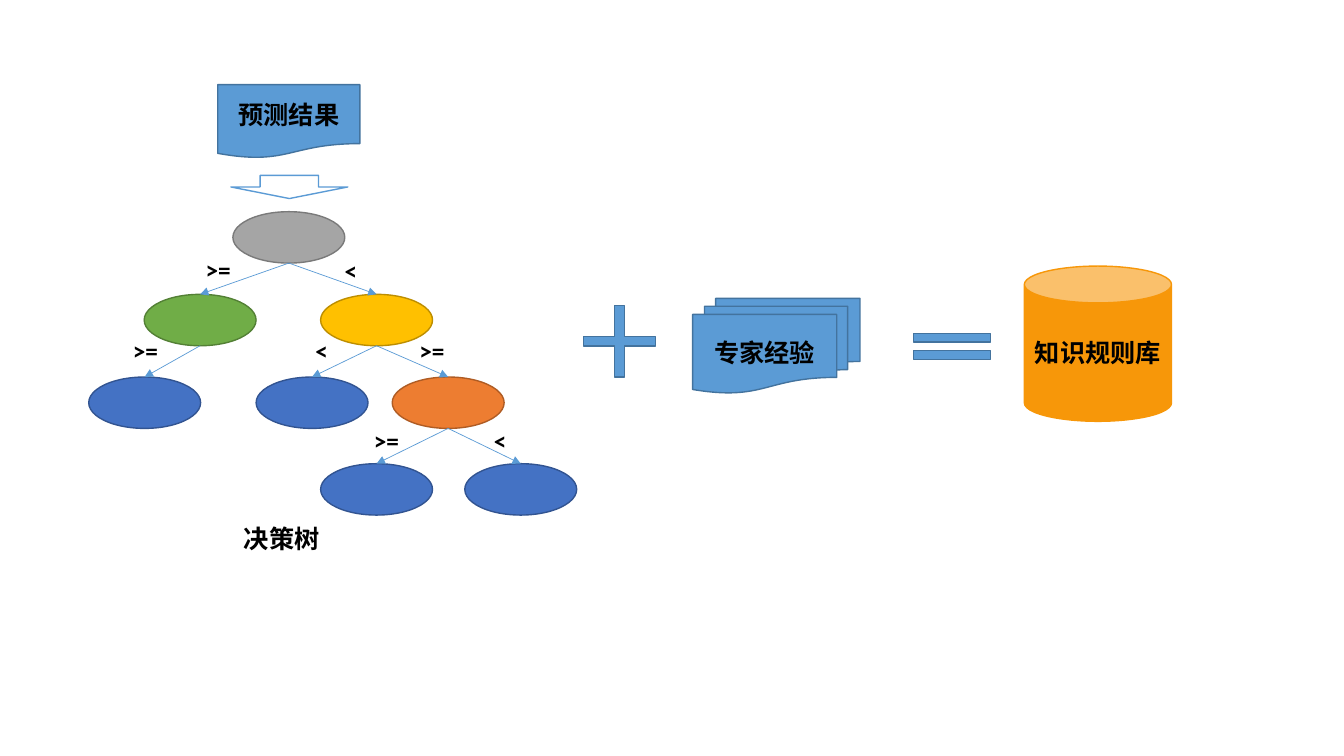
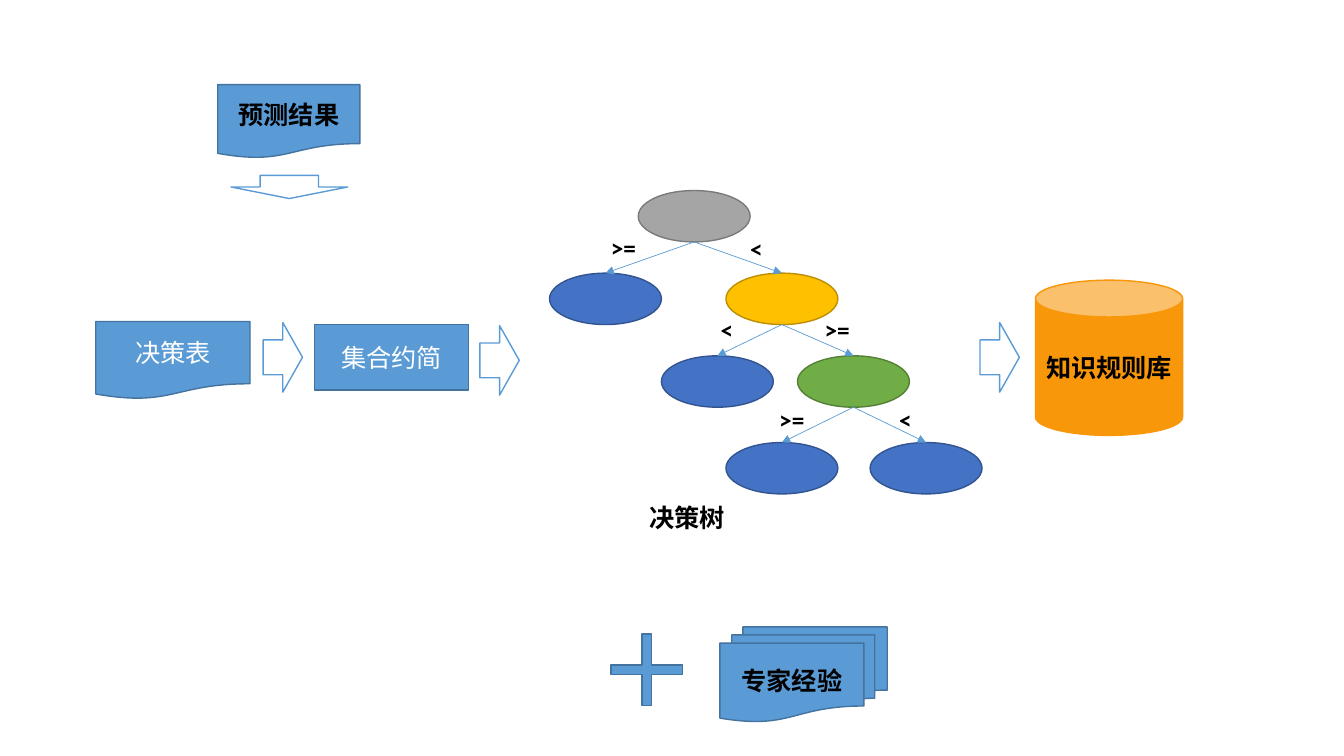
from dataclasses import dataclass
from typing import NamedTuple

from lxml.etree import SubElement
from pptx import Presentation
from pptx.dml.color import RGBColor
from pptx.enum.lang import MSO_LANGUAGE_ID
from pptx.enum.shapes import MSO_CONNECTOR, MSO_SHAPE
from pptx.enum.text import MSO_ANCHOR, PP_ALIGN
from pptx.oxml.ns import qn
from pptx.shapes.autoshape import Shape
from pptx.shapes.base import BaseShape
from pptx.slide import Slide
from pptx.util import Inches, Pt

COLOURS = {
    "black": "000000", "white": "FFFFFF",
    "blue": "5B9BD5", "blue_edge": "43739E",
    "grey": "A5A5A5", "grey_edge": "7A7A7A",
    "green": "70AD47", "green_edge": "538035",
    "yellow": "FFC000", "yellow_edge": "BD8E00",
    "orange": "ED7D31", "orange_edge": "AF5C24",
    "navy": "4472C4", "navy_edge": "325491",
    "amber": "F79709",
}
FONT = {"name": "Calibri", "size": Pt(18), "language_id": MSO_LANGUAGE_ID.SIMPLIFIED_CHINESE}
NODE_WIDTH, NODE_HEIGHT = 1.11, 0.51


class Box(NamedTuple):
    left: float
    top: float
    width: float
    height: float


@dataclass(frozen=True)
class Block:
    preset: MSO_SHAPE
    box: Box
    text: str = ""
    fill: str = "blue"
    edge: str = "blue_edge"
    text_colour: str = "black"
    bold: bool = True
    adjustments: tuple[float, ...] = ()


@dataclass(frozen=True)
class Branch:
    """A child node and its condition, both placed relative to the root node."""
    child: str
    parent: str
    dx: float
    dy: float
    condition: str
    condition_dx: float
    condition_dy: float


BRANCHES = [
    Branch("low", "root", -0.88, 0.82, ">=", -0.37, 0.37),
    Branch("high", "root", 0.87, 0.82, "<", 1.01, 0.38),
    Branch("low_leaf", "low", -1.43, 1.64, ">=", -1.09, 1.18),
    Branch("high_leaf", "high", 0.23, 1.64, "<", 0.72, 1.18),
    Branch("high_split", "high", 1.58, 1.64, ">=", 1.75, 1.18),
    Branch("split_left", "high_split", 0.87, 2.5, ">=", 1.3, 2.07),
    Branch("split_right", "high_split", 2.3, 2.5, "<", 2.49, 2.07),
]


def rgb(colour: str) -> RGBColor:
    return RGBColor.from_string(COLOURS[colour])


def write(shape: Shape, text: str, colour: str = "black", bold: bool = True) -> None:
    run = shape.text_frame.paragraphs[0].add_run()
    run.text = text
    for attribute, value in {**FONT, "bold": bold}.items():
        setattr(run.font, attribute, value)
    run.font.color.rgb = rgb(colour)


def add_block(slide: Slide, block: Block) -> Shape:
    shape = slide.shapes.add_shape(block.preset, *map(Inches, block.box))
    shape.shadow.inherit = False
    shape.fill.solid()
    shape.fill.fore_color.rgb = rgb(block.fill)
    shape.line.color.rgb = rgb(block.edge)
    shape.line.width = Pt(1)
    for index, value in enumerate(block.adjustments):
        shape.adjustments[index] = value
    if block.text:
        shape.text_frame.vertical_anchor = MSO_ANCHOR.MIDDLE
        shape.text_frame.paragraphs[0].alignment = PP_ALIGN.CENTER
        write(shape, block.text, block.text_colour, block.bold)
    return shape


def add_label(slide: Slide, text: str, left: float, top: float, width: float) -> None:
    label = slide.shapes.add_textbox(*map(Inches, (left, top, width, 0.4)))
    label.text_frame.word_wrap = True
    write(label, text)


def add_node(slide: Slide, left: float, top: float, colour: str) -> Shape:
    return add_block(slide, Block(MSO_SHAPE.OVAL, Box(left, top, NODE_WIDTH, NODE_HEIGHT),
                                  fill=colour, edge=f"{colour}_edge"))


def add_branch_arrow(slide: Slide, parent: BaseShape, child: BaseShape) -> None:
    """Join the bottom of the parent ellipse to the top of the child ellipse."""
    arrow = slide.shapes.add_connector(
        MSO_CONNECTOR.STRAIGHT,
        parent.left + parent.width // 2, parent.top + parent.height,
        child.left + child.width // 2, child.top)
    # An ellipse has eight connection sites; its bottom is number 4.
    joints = arrow._element.find(f".//{qn('p:cNvCxnSpPr')}")
    SubElement(joints, qn("a:stCxn"), id=str(parent.shape_id), idx="4")
    arrow.end_connect(child, 0)
    arrow.line.color.rgb = rgb("blue")
    arrow.line.width = Pt(0.5)
    SubElement(arrow.line._get_or_add_ln(), qn("a:tailEnd"), type="triangle")
    SubElement(arrow._element.spPr, qn("a:effectLst"))


def add_tree(slide: Slide, left: float, top: float, node_colours: dict[str, str]) -> None:
    """Draw the root and those branches whose child has a colour."""
    nodes = {"root": add_node(slide, left, top, node_colours["root"])}
    for branch in BRANCHES:
        if branch.child not in node_colours:
            continue
        nodes[branch.child] = add_node(slide, left + branch.dx, top + branch.dy,
                                       node_colours[branch.child])
        add_branch_arrow(slide, nodes[branch.parent], nodes[branch.child])
        add_label(slide, branch.condition, left + branch.condition_dx,
                  top + branch.condition_dy, 0.51)
    add_label(slide, "决策树", left + 0.01, top + 3.04, 1.09)


def hollow_arrow(preset: MSO_SHAPE, box: Box) -> Block:
    return Block(preset, box, fill="white", edge="blue")


def add_prediction(slide: Slide) -> None:
    add_block(slide, Block(MSO_SHAPE.FLOWCHART_DOCUMENT, Box(2.16, 0.84, 1.41, 0.73), "预测结果"))
    add_block(slide, hollow_arrow(MSO_SHAPE.DOWN_ARROW, Box(2.29, 1.74, 1.16, 0.23)))


def add_expertise(slide: Slide, left: float, top: float) -> None:
    """Draw the plus sign and the stack of expert documents beside it."""
    add_block(slide, Block(MSO_SHAPE.CROSS, Box(left, top, 0.71, 0.71), adjustments=(0.432,)))
    add_block(slide, Block(MSO_SHAPE.FLOWCHART_MULTIDOCUMENT,
                           Box(left + 1.08, top - 0.07, 1.66, 0.94), "专家经验"))


def add_rule_base(slide: Slide, left: float, top: float) -> None:
    add_block(slide, Block(MSO_SHAPE.CAN, Box(left, top, 1.46, 1.54), "知识规则库",
                           fill="amber", edge="amber"))


def build_sum_slide(slide: Slide) -> None:
    add_prediction(slide)
    add_tree(slide, 2.31, 2.1, {
        "root": "grey", "low": "green", "high": "yellow", "low_leaf": "navy",
        "high_leaf": "navy", "high_split": "orange",
        "split_left": "navy", "split_right": "navy"})
    add_expertise(slide, 5.79, 3.03)
    add_block(slide, Block(MSO_SHAPE.MATH_EQUAL, Box(8.92, 3.08, 1.04, 0.71),
                           adjustments=(0.123, 0.118)))
    add_rule_base(slide, 10.16, 2.64)


def build_flow_slide(slide: Slide) -> None:
    add_prediction(slide)
    add_tree(slide, 6.33, 1.89, {
        "root": "grey", "low": "navy", "high": "yellow", "high_leaf": "navy",
        "high_split": "green", "split_left": "navy", "split_right": "navy"})
    add_expertise(slide, 6.06, 6.29)
    add_rule_base(slide, 10.27, 2.78)
    for preset, box, step in (
        (MSO_SHAPE.FLOWCHART_DOCUMENT, Box(0.95, 3.19, 1.53, 0.77), "决策表"),
        (MSO_SHAPE.RECTANGLE, Box(3.12, 3.22, 1.53, 0.65), "集合约简"),
    ):
        add_block(slide, Block(preset, box, step, text_colour="white", bold=False))
    for left, top in ((2.61, 3.2), (4.76, 3.23), (9.72, 3.2)):
        add_block(slide, hollow_arrow(MSO_SHAPE.RIGHT_ARROW, Box(left, top, 0.39, 0.69)))


def main() -> None:
    presentation = Presentation()
    presentation.slide_width = Inches(13.33)
    presentation.slide_height = Inches(7.5)
    blank_layout = presentation.slide_layouts[6]
    for build in (build_sum_slide, build_flow_slide):
        build(presentation.slides.add_slide(blank_layout))
    presentation.save("out.pptx")


if __name__ == "__main__":
    main()
